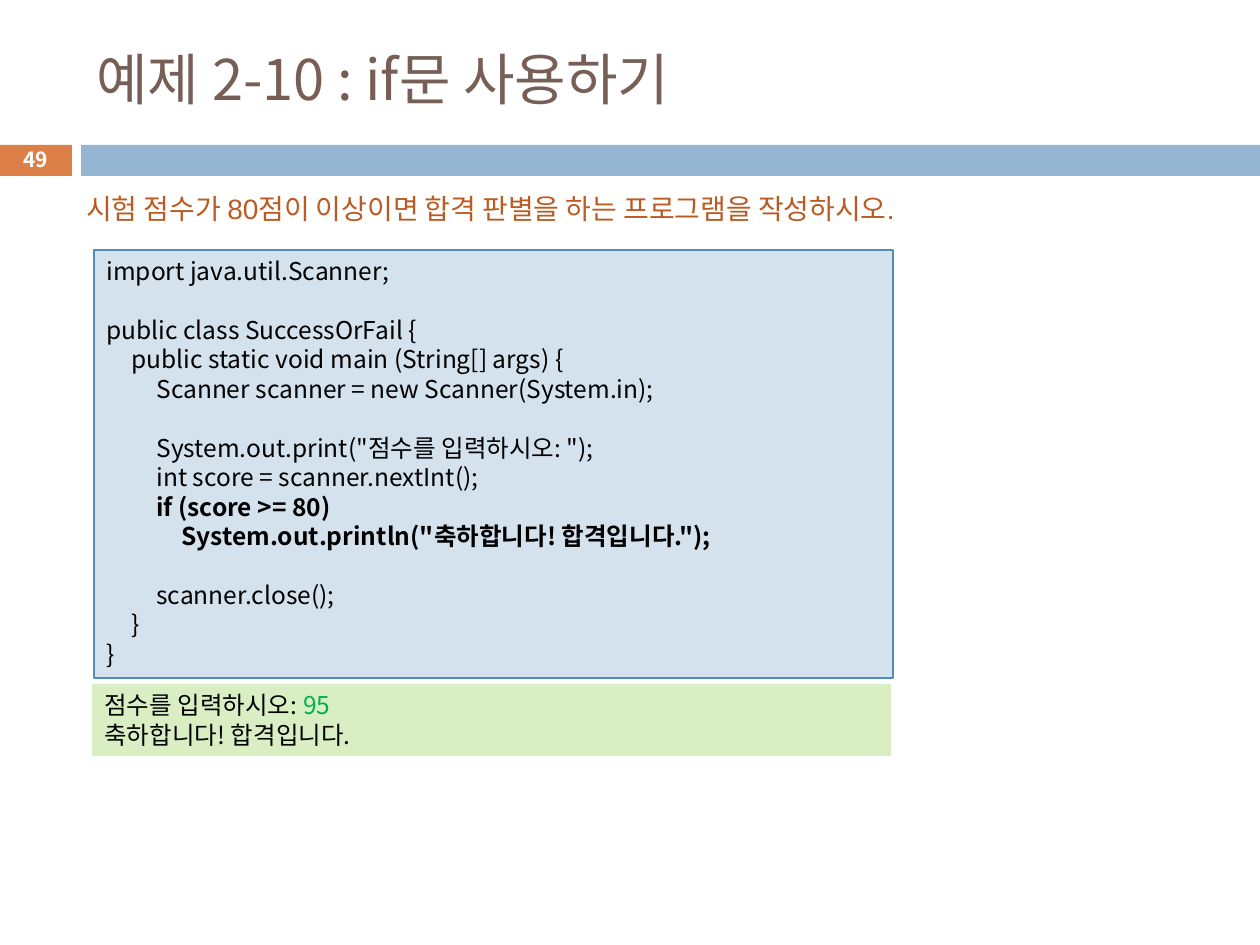
from dataclasses import dataclass

from lxml import etree
from pptx import Presentation
from pptx.dml.color import RGBColor
from pptx.enum.shapes import MSO_SHAPE
from pptx.enum.text import MSO_ANCHOR, PP_ALIGN
from pptx.oxml.ns import qn
from pptx.util import Pt

RECT = MSO_SHAPE.RECTANGLE
TOP, MIDDLE = MSO_ANCHOR.TOP, MSO_ANCHOR.MIDDLE
LEFT, CENTER = PP_ALIGN.LEFT, PP_ALIGN.CENTER

PX = 7257
TAB_PX = 25
CODE_PITCH = 16.8
FONT = "Noto Sans CJK KR"

BLACK = RGBColor(0x00, 0x00, 0x00)
WHITE = RGBColor(0xFF, 0xFF, 0xFF)
ORANGE = RGBColor(0xDD, 0x80, 0x47)
BLUE = RGBColor(0x94, 0xB6, 0xD2)
BROWN = RGBColor(0x77, 0x5F, 0x55)
RUST = RGBColor(0xB9, 0x5B, 0x22)
PALE_BLUE = RGBColor(0xD4, 0xE2, 0xED)
EDGE_BLUE = RGBColor(0x55, 0x8B, 0xB8)
PALE_GREEN = RGBColor(0xDA, 0xEE, 0xC4)
GREEN = RGBColor(0x00, 0xB0, 0x50)


@dataclass(frozen=True)
class Box:
    x: int
    y: int
    w: int
    h: int

    def emu(self) -> tuple[int, int, int, int]:
        return self.x * PX, self.y * PX, self.w * PX, self.h * PX


@dataclass(frozen=True)
class CodeLine:
    text: str
    depth: int = 0
    bold: bool = False
    gap: bool = False


CODE = [
    CodeLine("import java.util.Scanner;"),
    CodeLine("public class SuccessOrFail {", gap=True),
    CodeLine("public static void main (String[] args) {", 1),
    CodeLine("Scanner scanner = new Scanner(System.in);", 2),
    CodeLine('System.out.print("점수를 입력하시오: ");', 2, gap=True),
    CodeLine("int score = scanner.nextInt();", 2),
    CodeLine("if (score >= 80)", 2, bold=True),
    CodeLine('System.out.println("축하합니다! 합격입니다.");', 3, bold=True),
    CodeLine("scanner.close();", 2, gap=True),
    CodeLine("}", 1),
    CodeLine("}"),
]


def add_rect(s, box: Box, fill: RGBColor, line: RGBColor | None = None):
    sp = s.shapes.add_shape(RECT, *box.emu())
    sp.shadow.inherit = False
    sp.fill.solid()
    sp.fill.fore_color.rgb = fill
    if line is None:
        sp.line.fill.background()
    else:
        sp.line.color.rgb = line
        sp.line.width = Pt(0.75)
    return sp


def set_frame(sp, anchor=TOP):
    tf = sp.text_frame
    tf.word_wrap = True
    tf.vertical_anchor = anchor
    return tf


def add_text(p, text: str, *, size: float = 14, color: RGBColor = BLACK,
             bold: bool = False, font: str = FONT, align=LEFT) -> None:
    p.alignment = align
    r = p.add_run()
    r.text = text
    r.font.size = Pt(size)
    r.font.bold = bold
    r.font.name = font
    r.font.color.rgb = color
    ea = etree.SubElement(r.font._element, qn("a:ea"))
    ea.set("typeface", FONT)


def add_label(s, box: Box, text: str, *, anchor=TOP, **style) -> None:
    sp = s.shapes.add_textbox(*box.emu())
    add_text(set_frame(sp, anchor).paragraphs[0], text, **style)


def next_paragraph(tf, first: bool):
    p = tf.paragraphs[0] if first else tf.add_paragraph()
    p.line_spacing = Pt(CODE_PITCH)
    return p


def add_code(s, box: Box, lines: list[CodeLine]) -> None:
    tf = set_frame(add_rect(s, box, PALE_BLUE, EDGE_BLUE))
    for i, line in enumerate(lines):
        p = next_paragraph(tf, i == 0)
        if line.gap:
            p.space_before = Pt(CODE_PITCH)
        if line.depth:
            pPr = p._p.get_or_add_pPr()
            pPr.set("marL", str(line.depth * TAB_PX * PX))
            pPr.set("indent", "0")
        add_text(p, line.text, bold=line.bold)


def add_output(s, box: Box, lines: list[list[tuple[str, RGBColor]]]) -> None:
    tf = set_frame(add_rect(s, box, PALE_GREEN))
    for i, parts in enumerate(lines):
        p = next_paragraph(tf, i == 0)
        for text, color in parts:
            add_text(p, text, color=color)


def main() -> None:
    prs = Presentation()
    prs.slide_width, prs.slide_height = 1260 * PX, 945 * PX
    s = prs.slides.add_slide(prs.slide_layouts[6])

    add_rect(s, Box(0, 145, 72, 31), ORANGE)
    add_rect(s, Box(81, 145, 1179, 31), BLUE)
    add_label(s, Box(84, 32, 1124, 93), "예제 2-10 : if문 사용하기",
              anchor=MIDDLE, size=32, color=BROWN)
    add_code(s, Box(94, 250, 799, 428), CODE)
    add_label(s, Box(74, 185, 934, 47),
              "시험 점수가 80점이 이상이면 합격 판별을 하는 프로그램을 작성하시오.",
              size=16, color=RUST, font="Arial")
    add_output(s, Box(92, 684, 799, 72), [
        [("점수를 입력하시오: ", BLACK), ("95", GREEN)],
        [("축하합니다! 합격입니다.", BLACK)],
    ])
    add_label(s, Box(0, 142, 72, 34), "49", anchor=MIDDLE, size=11.9,
              color=WHITE, bold=True, align=CENTER)

    prs.save("out.pptx")


if __name__ == "__main__":
    main()
